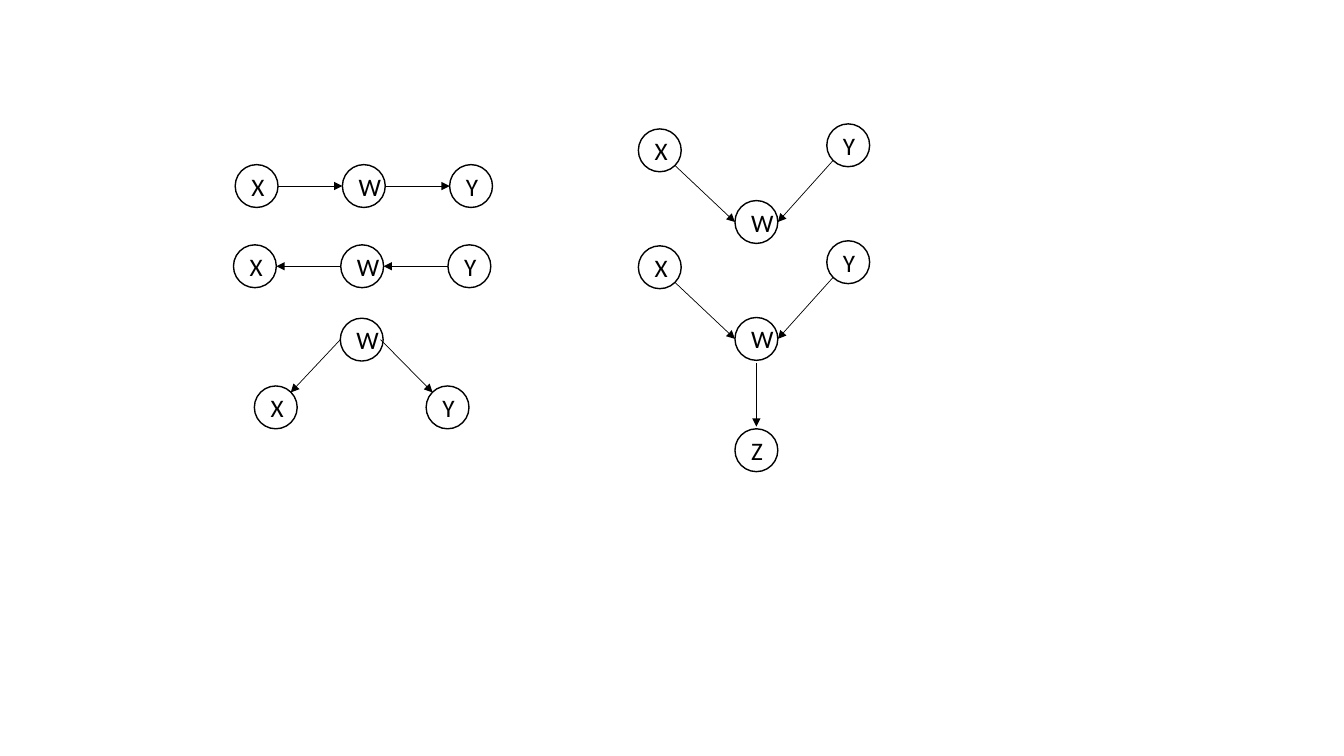
import dataclasses

import pptx
import pptx.dml.color
import pptx.enum.shapes
import pptx.enum.text
import pptx.oxml
import pptx.oxml.ns
import pptx.shapes.shapetree
import pptx.util

Pt = pptx.util.Pt
INK = "000000"
SIZE = 30.6  # circle diameter
STEP = 76.6  # from circle to circle in a chain

# Places on a circle, as parts of its width and height
SITES: dict[str, tuple[float, float]] = {
    "left": (0, 0.5),
    "right": (1, 0.5),
    "inner": (0.94, 0.5),
    "upper left": (0.15, 0.15),
    "upper right": (0.85, 0.15),
    "lower left": (0.15, 0.85),
    "lower right": (0.85, 0.85),
    "above": (0.5, -0.05),
    "below": (0.5, 1.06),
}


@dataclasses.dataclass(frozen=True)
class Node:
    name: str
    left: float
    top: float

    def point(self, site: str) -> tuple[float, float]:
        across, down = SITES[site]
        return self.left + across * SIZE, self.top + down * SIZE


@dataclasses.dataclass(frozen=True)
class Arrow:
    tail: Node
    leave: str
    head: Node
    enter: str


@dataclasses.dataclass(frozen=True)
class Graph:
    nodes: list[Node]
    arrows: list[Arrow]


def color(code: str) -> pptx.dml.color.RGBColor:
    return pptx.dml.color.RGBColor.from_string(code)


def draw_node(shapes: pptx.shapes.shapetree.GroupShapes, node: Node) -> None:
    oval = shapes.add_shape(
        pptx.enum.shapes.MSO_SHAPE.OVAL,
        Pt(node.left), Pt(node.top), Pt(SIZE), Pt(SIZE),
    )
    oval.shadow.inherit = False
    oval.fill.background()
    oval.line.color.rgb = color(INK)
    oval.line.width = Pt(1)
    frame = oval.text_frame
    frame.vertical_anchor = pptx.enum.text.MSO_ANCHOR.MIDDLE
    label = frame.paragraphs[0]
    label.text = node.name
    label.alignment = pptx.enum.text.PP_ALIGN.CENTER
    label.font.name = "Calibri"
    label.font.size = Pt(18)
    label.font.color.rgb = color(INK)


def draw_arrow(shapes: pptx.shapes.shapetree.GroupShapes, arrow: Arrow) -> None:
    start = arrow.tail.point(arrow.leave)
    end = arrow.head.point(arrow.enter)
    link = shapes.add_connector(
        pptx.enum.shapes.MSO_CONNECTOR.STRAIGHT,
        *(Pt(value) for value in start + end),
    )
    link.line.color.rgb = color(INK)
    link.line.width = Pt(0.5)
    space = pptx.oxml.ns.nsdecls("a")
    props = link._element.spPr
    props.find(pptx.oxml.ns.qn("a:ln")).append(
        pptx.oxml.parse_xml(f'<a:tailEnd {space} type="triangle"/>')
    )
    props.append(pptx.oxml.parse_xml(f"<a:effectLst {space}/>"))


def chain(left: float, top: float, forward: bool) -> Graph:
    """Three circles in a row, with arrows to the right or to the left."""
    x, w, y = (Node(name, left + STEP * i, top) for i, name in enumerate("XWY"))
    if forward:
        arrows = [Arrow(x, "right", w, "left"), Arrow(w, "right", y, "left")]
    else:
        arrows = [Arrow(w, "left", x, "right"), Arrow(y, "left", w, "right")]
    return Graph([x, w, y], arrows)


def fork() -> Graph:
    """W points down to both X and Y."""
    w = Node("W", 243.1, 227.3)
    x = Node("X", 181.7, 275.7)
    y = Node("Y", 304.4, 275.7)
    return Graph([x, w, y], [
        Arrow(w, "left", x, "upper right"),
        Arrow(w, "inner", y, "upper left"),
    ])


def collider(top: float) -> Graph:
    """X and Y both point down to W."""
    y = Node("Y", 590.6, top)
    x = Node("X", 456, top + 3.6)
    w = Node("W", 525, top + 54.8)
    return Graph([x, y, w], [
        Arrow(x, "lower right", w, "left"),
        Arrow(y, "lower left", w, "right"),
    ])


def main() -> None:
    deck = pptx.Presentation()
    deck.slide_width, deck.slide_height = Pt(960), Pt(540)
    slide = deck.slides.add_slide(deck.slide_layouts[6])

    # Lower collider, with Z hanging from W
    base = collider(172)
    w = base.nodes[-1]
    z = Node("Z", w.left, 306.3)
    tree = Graph(base.nodes + [z], base.arrows + [Arrow(w, "below", z, "above")])

    # Left and right halves, each one group
    left = [chain(168, 117.6, True), chain(166.8, 174.9, False), fork()]
    right = [collider(88.5), tree]
    for half in (left, right):
        shapes = slide.shapes.add_group_shape().shapes
        for graph in half:
            for node in graph.nodes:
                draw_node(shapes, node)
            for arrow in graph.arrows:
                draw_arrow(shapes, arrow)

    deck.save("out.pptx")


if __name__ == "__main__":
    main()
